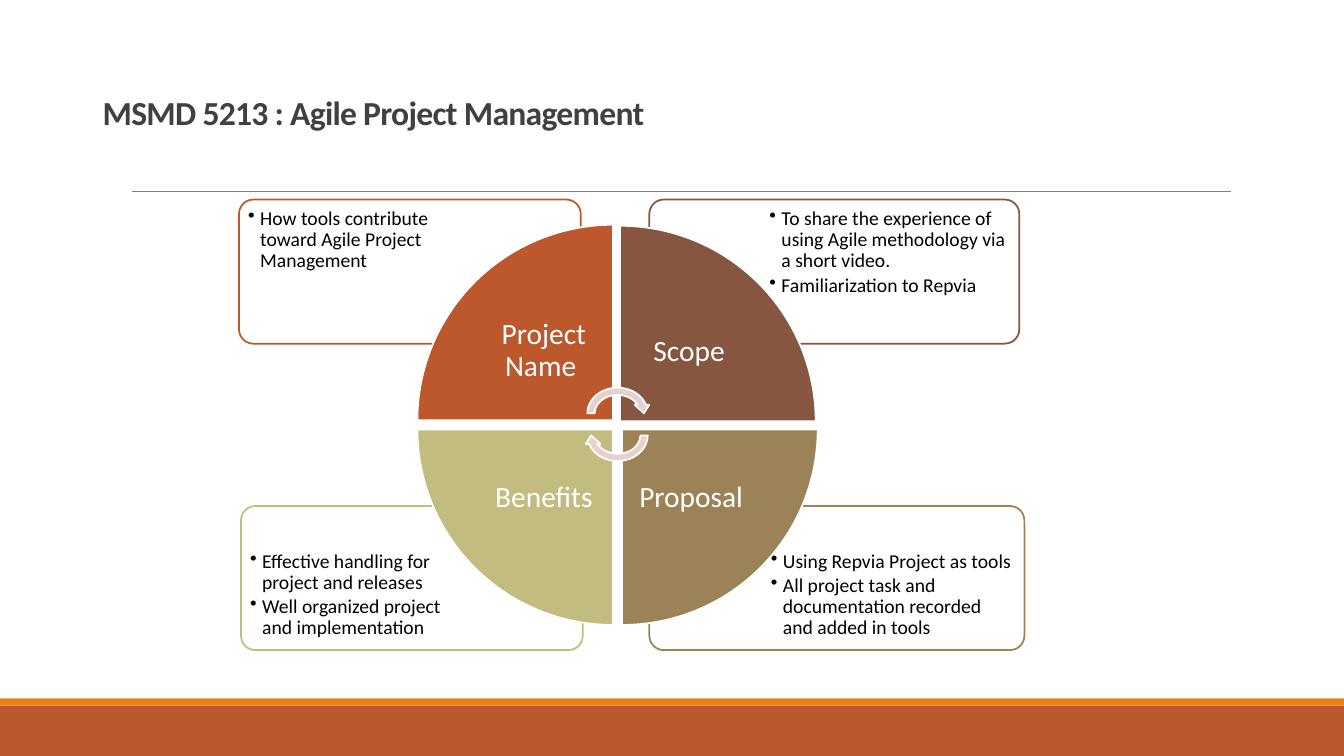
from lxml.etree import SubElement as Sub
from pptx import Presentation
from pptx.dml.color import RGBColor
from pptx.enum.shapes import MSO_CONNECTOR as Line, MSO_SHAPE as Kind
from pptx.enum.text import MSO_ANCHOR as Anchor, PP_ALIGN as Align
from pptx.oxml.ns import qn
from pptx.util import Inches, Pt

COLORS = {
    "white": "FFFFFF", "black": "000000", "title": "404040", "rule": "808080",
    "rust": "BD582C", "orange": "E48312", "brown": "865640",
    "tan": "9B8357", "olive": "C2BC80", "arrow": "E8D1CD",
}
SIDE = 1.94   # side of a quarter of the wheel
CORE = 1.37   # side of the label square inside a quarter

# name, colour, right column, bottom row, wedge corner, turn, card box, points
TOPICS = [
    ("Project Name ", "rust", False, False, (4.14, 2.23), 0, (2.37, 1.98, 3.39, 1.43),
     ["How tools contribute toward Agile Project Management"]),
    ("Scope", "brown", True, False, (6.15, 2.24), 90, (6.44, 1.98, 3.67, 1.43),
     ["To share the experience of using Agile methodology via a short video.",
      "Familiarization to Repvia"]),
    ("Proposal", "tan", True, True, (6.17, 4.26), 180, (6.44, 5.02, 3.72, 1.43),
     ["Using Repvia Project as tools",
      "All project task and documentation recorded and added in tools"]),
    ("Benefits", "olive", False, True, (4.14, 4.26), 270, (2.39, 5.02, 3.39, 1.43),
     ["Effective handling for project and releases",
      "Well organized project and implementation"]),
]


def rgb(name):
    return RGBColor.from_string(COLORS[name])


def add_form(slide, kind, box, fill, line=None, turn=0):
    form = slide.shapes.add_shape(kind, *map(Inches, box))
    form.shadow.inherit = False
    form.rotation = turn
    form.fill.solid()
    form.fill.fore_color.rgb = rgb(fill)
    if line:
        form.line.color.rgb = rgb(line)
        form.line.width = Pt(1.25)
    else:
        form.line.fill.background()
    return form


def add_text(slide, box, lines, size, color, inset, anchor=Anchor.TOP,
             align=Align.LEFT, space=0.9, after=0):
    frame = slide.shapes.add_textbox(*map(Inches, box)).text_frame
    frame.word_wrap = True
    frame.vertical_anchor = anchor
    frame.margin_left = frame.margin_right = Inches(inset)
    frame.margin_top = frame.margin_bottom = Inches(inset)
    frame.text = "\n".join(lines)
    for para in frame.paragraphs:
        para.alignment = align
        para.line_spacing = space
        para.space_after = Pt(after)
        font = para.runs[0].font
        font.name, font.size, font.color.rgb = "Calibri", Pt(size), rgb(color)
    return frame


def add_head(slide, box):
    """Title, with the thin rule below it."""
    frame = add_text(slide, box, ["MSMD 5213 : Agile Project Management"], 24,
                     "title", 0.1, Anchor.BOTTOM, space=0.85)
    frame.margin_top = frame.margin_bottom = Inches(0.05)
    run = frame.paragraphs[0].runs[0]
    run.font.bold = True
    run._r.get_or_add_rPr().set("spc", "-50")
    rule = slide.shapes.add_connector(
        Line.STRAIGHT, *map(Inches, (1.31, 1.9, 12.21, 1.9)))
    rule.line.color.rgb = rgb("rule")
    rule.line.width = Pt(0.5)
    Sub(rule._element.spPr, qn("a:effectLst"))


def add_foot(slide, top):
    """Two colour bands down to the lower edge."""
    add_form(slide, Kind.RECTANGLE, (0, top + 0.07, 13.33, 0.5), "rust")
    add_form(slide, Kind.RECTANGLE, (0, top, 13.33, 0.07), "orange")


def add_card(slide, box, color, points, right, low):
    """Outlined card whose bullets keep to its outer corner."""
    left, top, width, height = box
    card = add_form(slide, Kind.ROUNDED_RECTANGLE, box, "white", color)
    card.adjustments[0] = 0.1
    tint = card._element.spPr.find(qn("a:solidFill"))[0]
    Sub(tint, qn("a:alpha"), val="90000")
    inner = (left + 0.03 + right * 0.3 * width, top + 0.03 + low * 0.25 * height,
             0.7 * width - 0.06, 0.75 * height - 0.06)
    frame = add_text(slide, inner, points, 14, "black", 0.06, after=2.1)
    for para in frame.paragraphs:
        props = para._p.get_or_add_pPr()
        props.set("marL", str(Inches(0.12)))
        props.set("indent", str(-Inches(0.12)))
        Sub(props, qn("a:buChar"), char="•")


def add_wedge(slide, spot, name, color, turn, right, low):
    """Quarter of the wheel, labelled near the hub."""
    left, top = spot
    add_form(slide, Kind.PIE_WEDGE, (left, top, SIDE, SIDE), color, "white", turn)
    shift = SIDE - CORE
    inner = (left + (not right) * shift, top + (not low) * shift, CORE, CORE)
    add_text(slide, inner, [name], 21, "white", 0.16, Anchor.MIDDLE, Align.CENTER)


def add_wheel(slide):
    for name, color, right, low, spot, turn, box, points in reversed(TOPICS):
        add_card(slide, box, color, points, right, low)
    for name, color, right, low, spot, turn, box, points in TOPICS:
        add_wedge(slide, spot, name, color, turn, right, low)
    for top, turn in ((3.81, 0), (4.03, 180)):
        add_form(slide, Kind.CIRCULAR_ARROW, (5.79, top, 0.67, 0.58),
                 "arrow", "white", turn)


def main():
    deck = Presentation()
    deck.slide_width, deck.slide_height = Inches(13.33), Inches(7.5)
    slide = deck.slides.add_slide(deck.slide_layouts[6])
    add_foot(slide, 6.93)
    add_head(slide, (0.92, 0.4, 11.5, 0.96))
    add_wheel(slide)
    deck.save("out.pptx")


if __name__ == "__main__":
    main()
